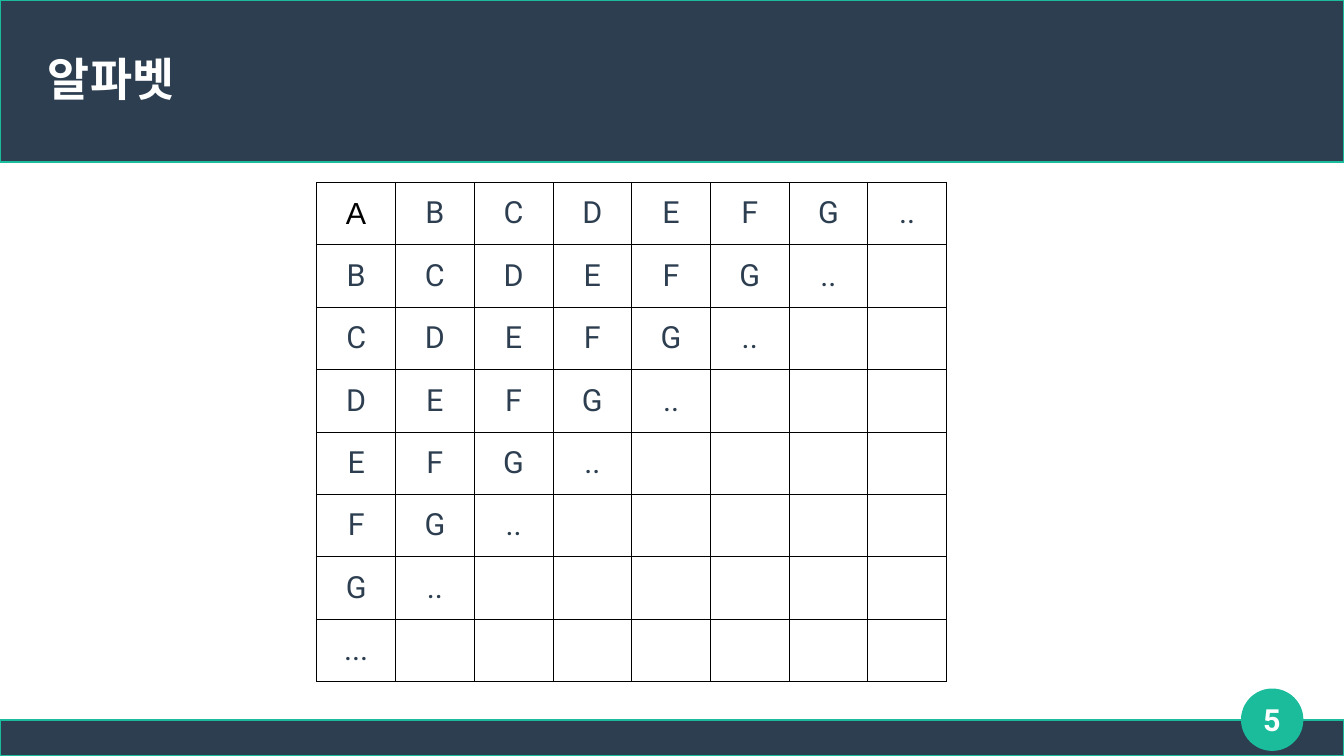
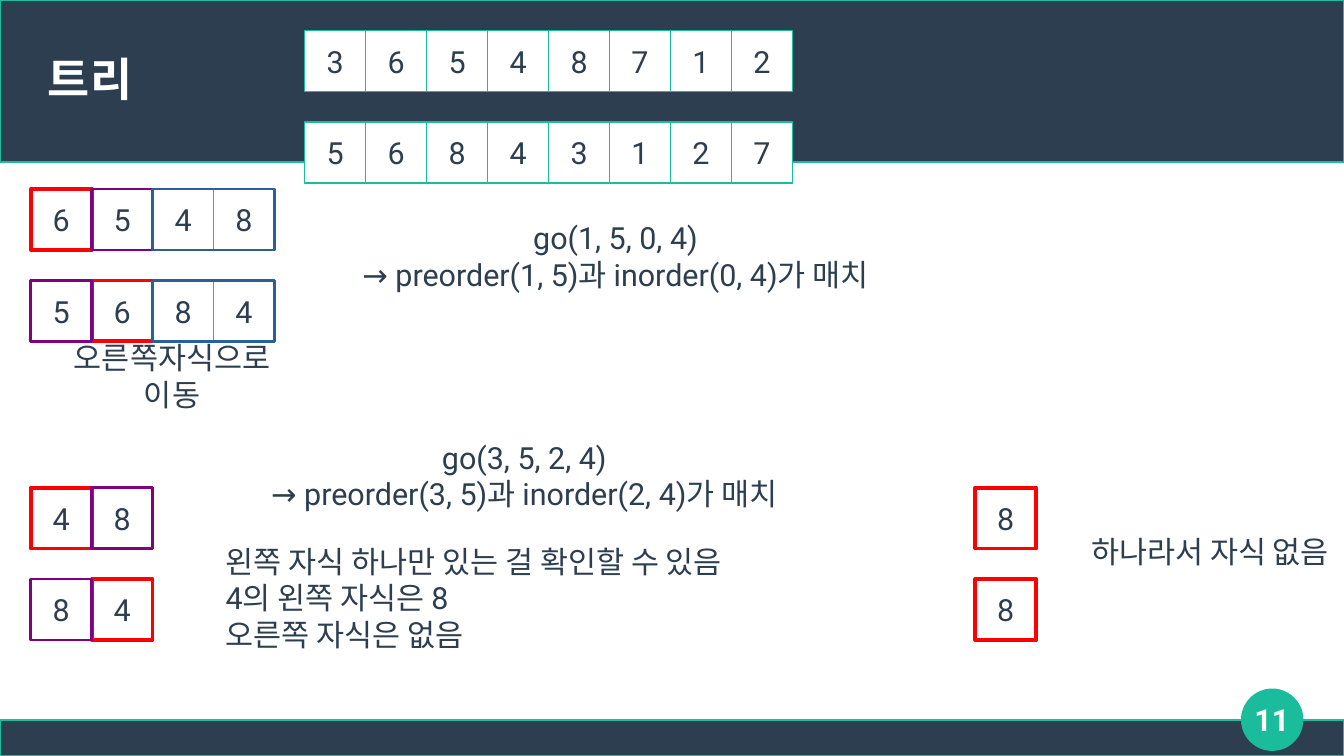
import pptx
import pptx.dml.color
import pptx.enum.shapes
import pptx.enum.text
import pptx.oxml
import pptx.oxml.ns
import pptx.util
from pptx.util import Cm

NAVY = pptx.dml.color.RGBColor(0x2C, 0x3E, 0x50)
TEAL = pptx.dml.color.RGBColor(0x1A, 0xBC, 0x9C)
WHITE = pptx.dml.color.RGBColor(0xFF, 0xFF, 0xFF)
BLACK = pptx.dml.color.RGBColor(0x00, 0x00, 0x00)
RED = pptx.dml.color.RGBColor(0xFF, 0x00, 0x00)
PURPLE = pptx.dml.color.RGBColor(0x80, 0x00, 0x80)
BLUE = pptx.dml.color.RGBColor(0x2A, 0x60, 0x99)

RECTANGLE = pptx.enum.shapes.MSO_SHAPE.RECTANGLE
OVAL = pptx.enum.shapes.MSO_SHAPE.OVAL
MIDDLE = pptx.enum.text.MSO_ANCHOR.MIDDLE
TOP = pptx.enum.text.MSO_ANCHOR.TOP
LEFT = pptx.enum.text.PP_ALIGN.LEFT
CENTER = pptx.enum.text.PP_ALIGN.CENTER

PAGE_WIDTH, PAGE_HEIGHT = 28, 15.75
SQUARE = 1.27
STRIP_STEP = 1.5 * SQUARE
THIN, MEDIUM, THICK = 0.85, 1.5, 2.3

BODY = {"name": "Roboto", "size": pptx.util.Pt(18), "color": NAVY}
FIRST_LETTER = {**BODY, "name": "Arial", "color": BLACK}
PAGE_NUMBER = {**BODY, "color": WHITE, "bold": True}
TITLE = {**PAGE_NUMBER, "size": pptx.util.Pt(27)}


class Deck:
    """Holds the presentation, its shared style and the current page."""

    def __init__(self):
        self.file = pptx.Presentation()
        self.file.slide_width = Cm(PAGE_WIDTH)
        self.file.slide_height = Cm(PAGE_HEIGHT)
        self.page = None

    def start_page(self, title):
        self.page = self.file.slides.add_slide(self.file.slide_layouts[6])
        self.shape(RECTANGLE, 0, 15, PAGE_WIDTH, 0.75, NAVY)
        self.shape(RECTANGLE, 0, 0, PAGE_WIDTH, 3.38, NAVY)
        self.shape(OVAL, 25.87, 14.36, SQUARE, SQUARE, TEAL)
        self.text(1, 0.64, 26, 2, [title], TITLE, LEFT, inset=0, wrap=True)

    def number_page(self, number):
        self.text(25.5, 14.36, 2, SQUARE, [str(number)], PAGE_NUMBER,
                  inset=0, wrap=True)

    def fill_text(self, frame, lines, style, align):
        for index, line in enumerate(lines):
            para = frame.paragraphs[0] if index == 0 else frame.add_paragraph()
            para.alignment = align
            span = para.add_run()
            span.text = line
            for key, value in style.items():
                if key == "color":
                    span.font.color.rgb = value
                else:
                    setattr(span.font, key, value)

    def shape(self, kind, left, top, width, height, fill=None, line=TEAL,
              weight=THIN):
        shape = self.page.shapes.add_shape(
            kind, Cm(left), Cm(top), Cm(width), Cm(height))
        shape.shadow.inherit = False
        if fill is None:
            shape.fill.background()
        else:
            shape.fill.solid()
            shape.fill.fore_color.rgb = fill
        shape.line.color.rgb = line
        shape.line.width = pptx.util.Pt(weight)
        return shape

    def text(self, left, top, width, height, lines, style=BODY, align=CENTER,
             anchor=MIDDLE, inset=None, wrap=False):
        box = self.page.shapes.add_textbox(
            Cm(left), Cm(top), Cm(width), Cm(height))
        frame = box.text_frame
        frame.word_wrap = wrap
        frame.vertical_anchor = anchor
        if not wrap:
            frame.auto_size = pptx.enum.text.MSO_AUTO_SIZE.SHAPE_TO_FIT_TEXT
        if inset is not None:
            for side in ("left", "right", "top", "bottom"):
                setattr(frame, "margin_" + side, Cm(inset))
        self.fill_text(frame, lines, style, align)

    def strips(self, left, top, rows, marks=()):
        """Rows of numbered squares; a mark is (row, column, span, colour, weight)."""
        for row, digits in enumerate(rows):
            for column, digit in enumerate(digits):
                square = self.shape(RECTANGLE, left + column * SQUARE,
                                    top + row * STRIP_STEP, SQUARE, SQUARE, WHITE)
                square.text_frame.word_wrap = False
                square.text_frame.vertical_anchor = MIDDLE
                self.fill_text(square.text_frame, [digit], BODY, CENTER)
        for row, column, span, color, weight in marks:
            self.shape(RECTANGLE, left + column * SQUARE, top + row * STRIP_STEP,
                       span * SQUARE, SQUARE, None, color, weight)

    def border(self, cell):
        properties = cell._tc.get_or_add_tcPr()
        for side in ("lnL", "lnR", "lnT", "lnB"):
            properties.append(pptx.oxml.parse_xml(
                f'<a:{side} {pptx.oxml.ns.nsdecls("a")} w="{pptx.util.Pt(0.57)}">'
                f'<a:solidFill><a:srgbClr val="{BLACK}"/></a:solidFill></a:{side}>'))

    def table(self, left, top, column_width, row_height, rows):
        count = len(rows[0])
        table = self.page.shapes.add_table(
            len(rows), count, Cm(left), Cm(top),
            Cm(count * column_width), Cm(len(rows) * row_height)).table
        table.first_row = table.horz_banding = False
        margins = {"margin_left": 0.1, "margin_right": 0.1,
                   "margin_top": 0.13, "margin_bottom": 0.13}
        for row, words in enumerate(rows):
            for column in range(count):
                cell = table.cell(row, column)
                self.border(cell)
                cell.fill.background()
                cell.vertical_anchor = MIDDLE
                for name, length in margins.items():
                    setattr(cell, name, Cm(length))
                if column < len(words):
                    style = FIRST_LETTER if row == column == 0 else BODY
                    self.fill_text(cell.text_frame, [words[column]], style, CENTER)


def alphabet_page(deck):
    deck.start_page("알파벳")
    letters = "ABCDEFG"
    rows = [[*letters[start:], ".."] for start in range(len(letters))]
    deck.table(6.6, 3.8, 1.64, 1.3, rows + [["..."]])
    deck.number_page(5)


def tree_page(deck):
    deck.start_page("트리")
    deck.text(6.6, 4.32, 12.45, 2.03,
              ["go(1, 5, 0, 4)", "→ preorder(1, 5)과 inorder(0, 4)가 매치"])
    deck.strips(0.64, 3.94, ["6548", "5684"], [
        (0, 0, 1, RED, THICK), (1, 1, 1, RED, THICK),
        (1, 0, 1, PURPLE, MEDIUM), (1, 2, 2, BLUE, MEDIUM),
        (0, 1, 1, PURPLE, MEDIUM), (0, 2, 2, BLUE, MEDIUM)])
    deck.strips(6.35, 0.64, ["36548712", "56843127"])
    deck.text(4.7, 8.89, 12.45, 2.03,
              ["go(3, 5, 2, 4)", "→ preorder(3, 5)과 inorder(2, 4)가 매치"])
    deck.text(0.64, 7.24, 5.89, 1.17, ["오른쪽자식으로 이동"])
    deck.strips(0.64, 10.16, ["48", "84"], [
        (0, 0, 1, RED, THICK), (1, 1, 1, RED, THICK),
        (1, 0, 1, PURPLE, MEDIUM), (0, 1, 1, PURPLE, MEDIUM)])
    deck.text(4.45, 11.18, 10.85, 3.02,
              ["왼쪽 자식 하나만 있는 걸 확인할 수 있음", "4의 왼쪽 자식은 8",
               "오른쪽 자식은 없음"], align=LEFT, anchor=TOP)
    deck.strips(20.32, 10.16, ["8", "8"],
                [(row, 0, 1, RED, THICK) for row in range(2)])
    deck.text(22.48, 10.9, 5.46, 1.17, ["하나라서 자식 없음"])
    deck.number_page(11)


def main():
    deck = Deck()
    alphabet_page(deck)
    tree_page(deck)
    deck.file.save("out.pptx")


if __name__ == "__main__":
    main()
